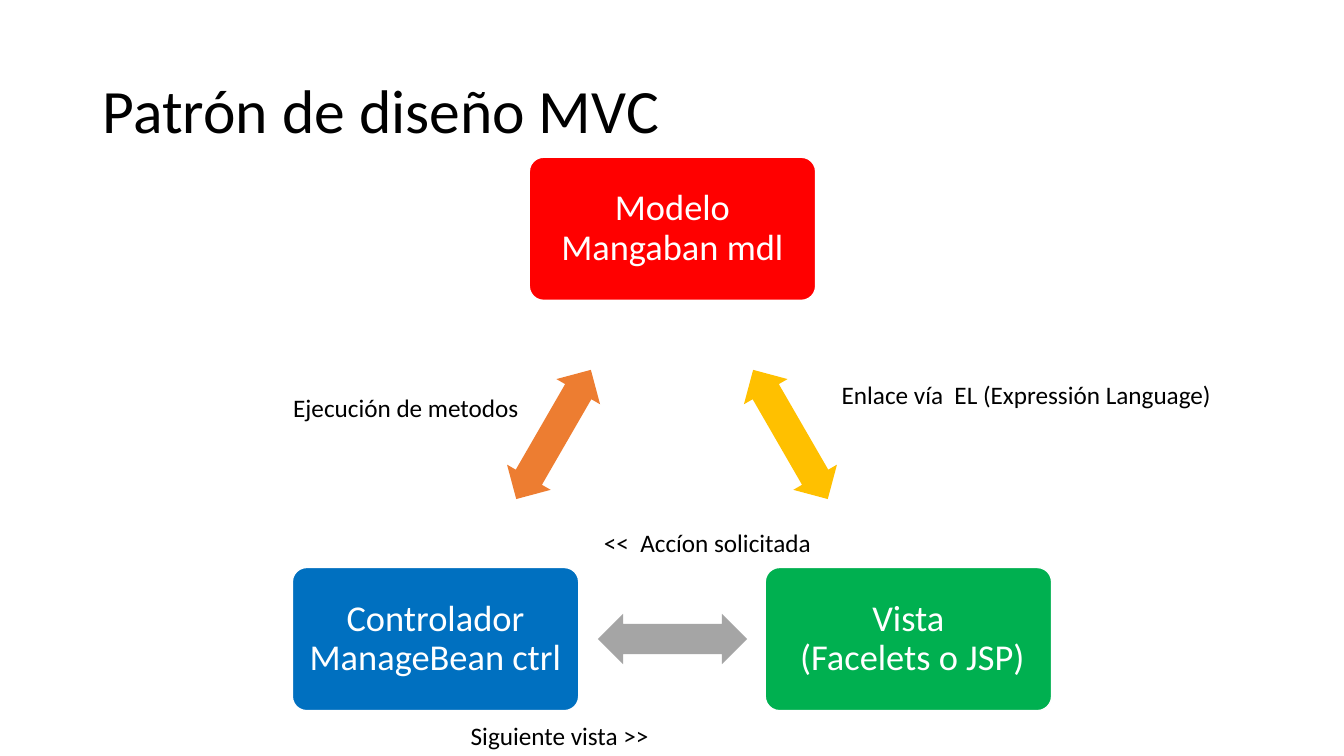
from dataclasses import dataclass

import pptx
import pptx.dml.color
import pptx.enum.shapes
import pptx.enum.text
import pptx.util

Inches = pptx.util.Inches
Pt = pptx.util.Pt
Shapes = pptx.enum.shapes.MSO_SHAPE
Align = pptx.enum.text.PP_ALIGN
Anchor = pptx.enum.text.MSO_ANCHOR
AutoSize = pptx.enum.text.MSO_AUTO_SIZE

FONT = "Calibri"
BLACK, WHITE = "000000", "FFFFFF"
BOX_WIDTH, BOX_HEIGHT = 2.84, 1.42
ARROW_WIDTH, ARROW_HEIGHT = 1.48, 0.5
LABEL_HEIGHT = 0.4


@dataclass
class Component:
    """A coloured box of the pattern; a vertical tab breaks its text."""
    text: str
    left: float
    top: float
    color: str


@dataclass
class Exchange:
    """A double arrow between two components."""
    left: float
    top: float
    rotation: float
    color: str


@dataclass
class Label:
    """A caption beside an arrow."""
    text: str
    left: float
    top: float
    width: float


COMPONENTS = [
    Component("Modelo\vMangaban mdl", 5.25, 1.56, "FF0000"),
    Component("Controlador\vManageBean ctrl", 2.9, 5.63, "0070C0"),
    Component("Vista\v (Facelets o JSP)", 7.59, 5.63, "00B050"),
]
EXCHANGES = [
    Exchange(4.75, 4.06, 120, "ED7D31"),
    Exchange(5.93, 6.09, 0, "A5A5A5"),
    Exchange(7.1, 4.06, 240, "FFC000"),
]
LABELS = [
    Label("Enlace vía  EL (Expressión Language) ", 8.25, 3.71, 3.97),
    Label("<<  Accíon solicitada", 5.89, 5.18, 2.28),
    Label("Siguiente vista >> ", 4.57, 7.1, 2.05),
    Label("Ejecución de metodos", 2.81, 3.84, 2.46),
]


def rgb(color: str) -> pptx.dml.color.RGBColor:
    """Turn a hex string into a colour."""
    return pptx.dml.color.RGBColor.from_string(color)


def set_attributes(target, values: dict) -> None:
    """Set each named attribute of the target."""
    for name, value in values.items():
        setattr(target, name, value)


def write(shape, text: str, size: float, color: str, frame: dict, layout: dict) -> None:
    """Write one paragraph with its frame, paragraph and font formats."""
    set_attributes(shape.text_frame, frame)
    paragraph = shape.text_frame.paragraphs[0]
    paragraph.text = text
    set_attributes(paragraph, layout)
    for run in paragraph.runs:
        set_attributes(run.font, {"name": FONT, "size": Pt(size)})
        run.font.color.rgb = rgb(color)


def add_filled_shape(slide, kind, left: float, top: float, width: float, height: float,
                     color: str, adjustments: list):
    """Add a preset shape with a plain fill and no shadow."""
    shape = slide.shapes.add_shape(kind, Inches(left), Inches(top), Inches(width), Inches(height))
    shape.shadow.inherit = False
    shape.fill.solid()
    shape.fill.fore_color.rgb = rgb(color)
    for index, value in enumerate(adjustments):
        shape.adjustments[index] = value
    return shape


def add_component(slide, component: Component) -> None:
    """Draw a rounded box with its centred text."""
    box = add_filled_shape(slide, Shapes.ROUNDED_RECTANGLE, component.left, component.top,
                           BOX_WIDTH, BOX_HEIGHT, component.color, [0.1])
    box.line.color.rgb = rgb(WHITE)
    box.line.width = Pt(1)
    sides = ("left", "top", "right", "bottom")
    frame = {f"margin_{side}": Inches(0.11) for side in sides}
    frame.update(word_wrap=True, vertical_anchor=Anchor.MIDDLE)
    write(box, component.text, 26, WHITE, frame,
          {"alignment": Align.CENTER, "line_spacing": 0.9})


def add_exchange(slide, exchange: Exchange) -> None:
    """Draw a double arrow turned to its direction."""
    arrow = add_filled_shape(slide, Shapes.LEFT_RIGHT_ARROW, exchange.left, exchange.top,
                             ARROW_WIDTH, ARROW_HEIGHT, exchange.color, [0.6, 0.5])
    arrow.line.fill.background()
    arrow.rotation = exchange.rotation


def add_label(slide, label: Label) -> None:
    """Write a caption on one line."""
    box = slide.shapes.add_textbox(Inches(label.left), Inches(label.top),
                                   Inches(label.width), Inches(LABEL_HEIGHT))
    write(box, label.text, 18, BLACK,
          {"word_wrap": False, "auto_size": AutoSize.SHAPE_TO_FIT_TEXT}, {})


def add_title(slide, text: str) -> None:
    """Place and format the title placeholder."""
    title = slide.shapes.title
    set_attributes(title, {"left": Inches(0.92), "top": Inches(0.4),
                           "width": Inches(11.5), "height": Inches(1.45)})
    write(title, text, 44, BLACK, {"vertical_anchor": Anchor.MIDDLE},
          {"alignment": Align.LEFT, "line_spacing": 0.9})


def main() -> None:
    """Build the slide and save it."""
    presentation = pptx.Presentation()
    presentation.slide_width = Inches(13.33)
    presentation.slide_height = Inches(7.5)
    slide = presentation.slides.add_slide(presentation.slide_layouts.get_by_name("Title Only"))
    add_title(slide, "Patrón de diseño MVC")
    for component in COMPONENTS:
        add_component(slide, component)
    for exchange in EXCHANGES:
        add_exchange(slide, exchange)
    for label in LABELS:
        add_label(slide, label)
    presentation.save("out.pptx")


main()
